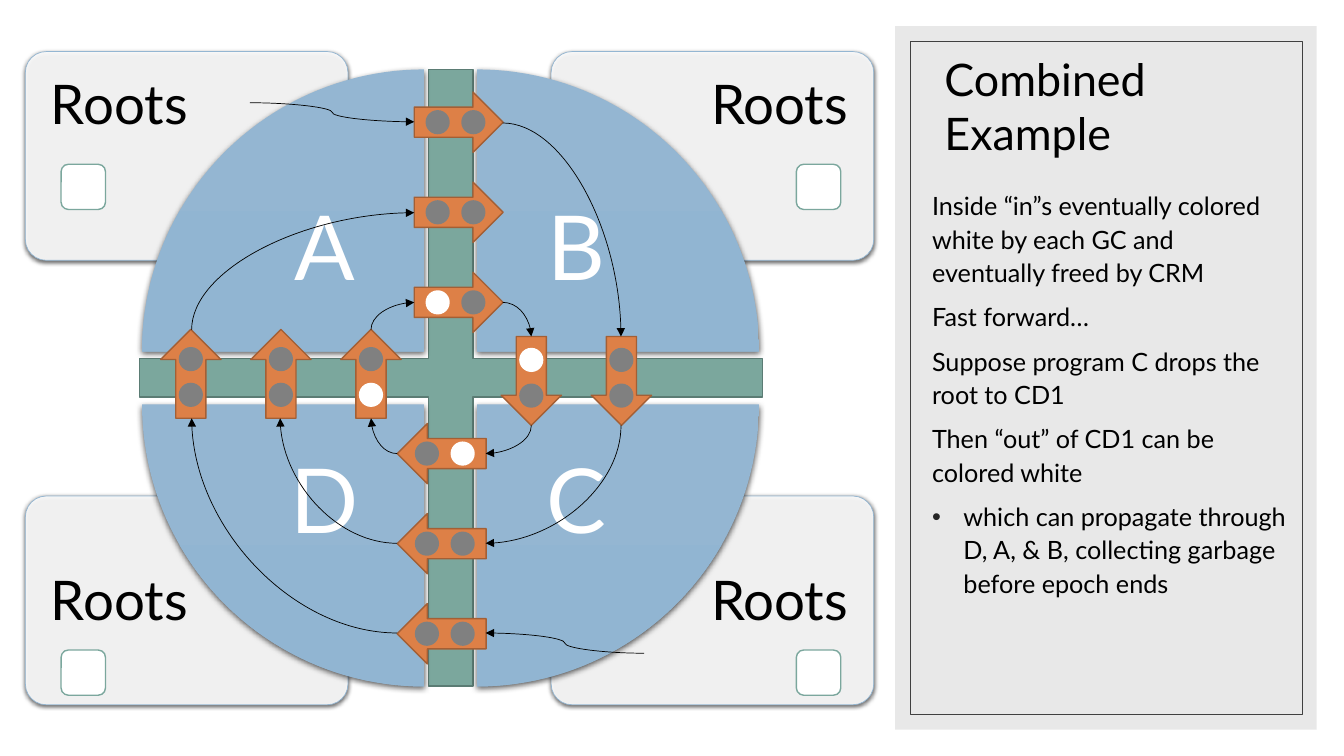
"""Build the combined example slide: four root sets around a ring of linked quadrants."""
from math import cos, sin, radians
from lxml.etree import SubElement
from pptx import Presentation
from pptx.dml.color import RGBColor
from pptx.enum.shapes import MSO_SHAPE as SHAPE, MSO_CONNECTOR as LINK
from pptx.enum.text import MSO_ANCHOR as ANCHOR, PP_ALIGN as ALIGN
from pptx.oxml.ns import qn
from pptx.util import Cm, Pt

BLACK = RGBColor(0x00, 0x00, 0x00)
WHITE = RGBColor(0xFF, 0xFF, 0xFF)
GRAY = RGBColor(0x80, 0x80, 0x80)
PALE = RGBColor(0xD9, 0xD9, 0xD9)
DARK = RGBColor(0x40, 0x40, 0x40)
GREEN = RGBColor(0x7B, 0xA7, 0x9D)
MOSS = RGBColor(0x5B, 0x7C, 0x74)
BLUE = RGBColor(0x94, 0xB6, 0xD2)
SKY = RGBColor(0x91, 0xB5, 0xD2)
ORANGE = RGBColor(0xDD, 0x80, 0x47)
RUST = RGBColor(0xA3, 0x5F, 0x35)


def paint(shape, fill=None, edge=None, width=1, alpha=100, blur=0, drop=0):
    """Set fill, outline, opacity and shadow of a shape."""
    shape.shadow.inherit = False
    if fill is None:
        shape.fill.background()
    else:
        shape.fill.solid()
        shape.fill.fore_color.rgb = fill
    props = shape._element.spPr
    if alpha < 100:
        tint = props.find(qn("a:solidFill"))[0]
        SubElement(tint, qn("a:alpha"), val=str(alpha * 1000))
    if edge is None:
        shape.line.fill.background()
    else:
        shape.line.color.rgb = edge
        shape.line.width = Pt(width)
    if blur:
        shade = SubElement(props.find(qn("a:effectLst")), qn("a:outerShdw"), blurRad=str(Pt(blur)),
                           dist=str(Pt(drop)), dir="5400000", algn="ctr", rotWithShape="0")
        tint = SubElement(shade, qn("a:srgbClr"), val="000000")
        SubElement(tint, qn("a:alpha"), val="63000")


def write(shape, text, size, color, align, anchor, pads=(0.25, 0.13, 0.25, 0.13)):
    """Put text in a shape, with insets in the order left, top, right, bottom."""
    frame = shape.text_frame
    frame.text = text
    frame.word_wrap = True
    frame.vertical_anchor = anchor
    frame.margin_left, frame.margin_top, frame.margin_right, frame.margin_bottom = map(Cm, pads)
    for para in frame.paragraphs:
        para.alignment = align
        for run in para.runs:
            run.font.name = "Lato"
            run.font.size = Pt(size)
            run.font.color.rgb = color


deck = Presentation()
deck.slide_width, deck.slide_height = Cm(33.87), Cm(19.05)
slide = deck.slides.add_slide(deck.slide_layouts[5])
shapes = slide.shapes

panel = shapes.add_shape(SHAPE.RECTANGLE, Cm(22.56), Cm(0.66), Cm(10.62), Cm(17.73))
paint(panel, PALE, alpha=60)
frame = shapes.add_shape(SHAPE.RECTANGLE, Cm(22.94), Cm(1.04), Cm(9.88), Cm(16.97))
paint(frame, edge=DARK, width=0.5)
cross = shapes.add_shape(SHAPE.CROSS, Cm(3.51), Cm(1.75), Cm(15.7), Cm(15.54))
cross.adjustments[0] = 0.469
paint(cross, GREEN, MOSS)

for top, above, below in ((12.5, 1.8, 0.49), (1.3, 0.49, 1.8)):
    for left, before, after, align in ((13.89, 2.92, 0.49, ALIGN.RIGHT), (0.64, 0.49, 2.92, ALIGN.LEFT)):
        card = shapes.add_shape(SHAPE.ROUNDED_RECTANGLE, Cm(left), Cm(top), Cm(8.13), Cm(5.26))
        card.adjustments[0] = 0.1
        paint(card, WHITE, BLUE, 0.5, 90, 3, 1)
        write(card, "Roots", 39, BLACK, align, ANCHOR.TOP, (before, above, after, below))
        card.text_frame.paragraphs[0].line_spacing = 0.9

RADIUS = 7.11
for name, x, y, start in (("A", 10.69, 8.86, 180), ("B", 12.02, 8.86, 270),
                          ("C", 12.02, 10.19, 0), ("D", 10.69, 10.19, 90)):
    arc = [(Cm(x + RADIUS * cos(radians(start + turn))), Cm(y + RADIUS * sin(radians(start + turn))))
           for turn in range(0, 91, 2)]
    pen = shapes.build_freeform(Cm(x), Cm(y))
    pen.add_line_segments(arc, close=True)
    wedge = pen.convert_to_shape()
    paint(wedge, BLUE, blur=4.5, drop=1.5)
    wedge.fill.gradient()
    wedge.fill.gradient_angle = 270
    for stop, color in zip(wedge.fill.gradient_stops, (BLUE, SKY)):
        stop.color.rgb = color
    across = (3.35, 1.27) if name in "AD" else (1.27, 3.35)
    down = (3.35, 1.27) if name in "AB" else (1.27, 3.35)
    write(wedge, name, 64, WHITE, ALIGN.CENTER, ANCHOR.MIDDLE, (across[0], down[0], across[1], down[1]))
    wedge.text_frame.paragraphs[0].line_spacing = 0.9

title = shapes.title
shapes._spTree.append(title._element)
title.left, title.top, title.width, title.height = Cm(23.55), Cm(1.68), Cm(8.74), Cm(2.46)
write(title, "Combined\vExample", 32, BLACK, ALIGN.LEFT, ANCHOR.BOTTOM)

NOTES = (
    "Inside “in”s eventually colored white by each GC and eventually freed by CRM",
    "Fast forward…",
    "Suppose program C drops the root to CD1",
    "Then “out” of CD1 can be colored white",
    "which can propagate through D, A, & B, collecting garbage before epoch ends",
)
body = shapes.add_textbox(Cm(23.24), Cm(4.6), Cm(9.58), Cm(13.13))
write(body, "\n".join(NOTES), 18, BLACK, ALIGN.LEFT, ANCHOR.TOP)
for para in body.text_frame.paragraphs:
    para.line_spacing = 1.1
    para.space_before = Pt(8)
props = para._p.get_or_add_pPr()
props.set("marL", str(Cm(0.79)))
props.set("indent", str(-Cm(0.79)))
SubElement(SubElement(props, qn("a:buClr")), qn("a:srgbClr"), val="262626")
SubElement(props, qn("a:buFont"), typeface="Arial")
SubElement(props, qn("a:buChar"), char="•")

STEP, LONG, WIDE, BALL = 2.27, 2.24, 1.52, 0.61
for x, y, dx, dy, count, turn in ((9.35, 9.42, -STEP, 0, 3, 270), (11.56, 7.62, 0, -STEP, 3, 0),
                                  (13.39, 9.6, STEP, 0, 2, 90), (11.13, 11.43, 0, STEP, 3, 180)):
    for i in range(count):
        midx, midy = x + i * dx, y + i * dy
        arrow = shapes.add_shape(SHAPE.RIGHT_ARROW, Cm(midx - LONG / 2), Cm(midy - WIDE / 2), Cm(LONG), Cm(WIDE))
        arrow.rotation = turn
        paint(arrow, ORANGE, RUST)
        for shift, color in ((0.37, GRAY), (-0.53, GRAY if i else WHITE)):
            left = midx + shift * cos(radians(turn)) - BALL / 2
            top = midy + shift * sin(radians(turn)) - BALL / 2
            ball = shapes.add_shape(SHAPE.OVAL, Cm(left), Cm(top), Cm(BALL), Cm(BALL))
            paint(ball, color)

for left in (1.54, 20.07):
    for top in (4.14, 16.38):
        root = shapes.add_shape(SHAPE.ROUNDED_RECTANGLE, Cm(left), Cm(top), Cm(1.12), Cm(1.14))
        paint(root, WHITE, GREEN)

BEND, WAVE = "curvedConnector2", "curvedConnector3"
LINKS = (
    (6.3, 2.59, 10.44, 3.07, 0, WAVE),
    (12.67, 3.1, 15.65, 8.48, 0, BEND),
    (15.65, 10.72, 12.24, 13.69, 90, BEND),
    (10.01, 13.69, 7.06, 10.54, 180, BEND),
    (12.67, 7.62, 13.39, 8.48, 0, BEND),
    (13.39, 10.72, 12.24, 11.43, 90, BEND),
    (10.01, 11.43, 9.35, 10.54, 180, BEND),
    (9.35, 8.31, 10.44, 7.62, 270, BEND),
    (16.23, 16.46, 12.24, 15.95, 180, WAVE),
    (10.01, 15.95, 4.83, 10.54, 180, BEND),
    (4.83, 8.31, 10.44, 5.36, 270, BEND),
)
for x1, y1, x2, y2, turn, kind in LINKS:
    wide, high = abs(x2 - x1), abs(y2 - y1)
    if turn in (90, 270):
        wide, high = high, wide
    left, top = (x1 + x2 - wide) / 2, (y1 + y2 - high) / 2
    link = shapes.add_connector(LINK.CURVE, Cm(left), Cm(top), Cm(left + wide), Cm(top + high))
    link.line.color.rgb = BLACK
    link.line.width = Pt(0.5)
    props = link._element.spPr
    props.xfrm.rot = turn
    props.find(qn("a:prstGeom")).set("prst", kind)
    SubElement(props.find(qn("a:ln")), qn("a:tailEnd"), type="triangle")
    SubElement(props, qn("a:effectLst"))

deck.save("out.pptx")
